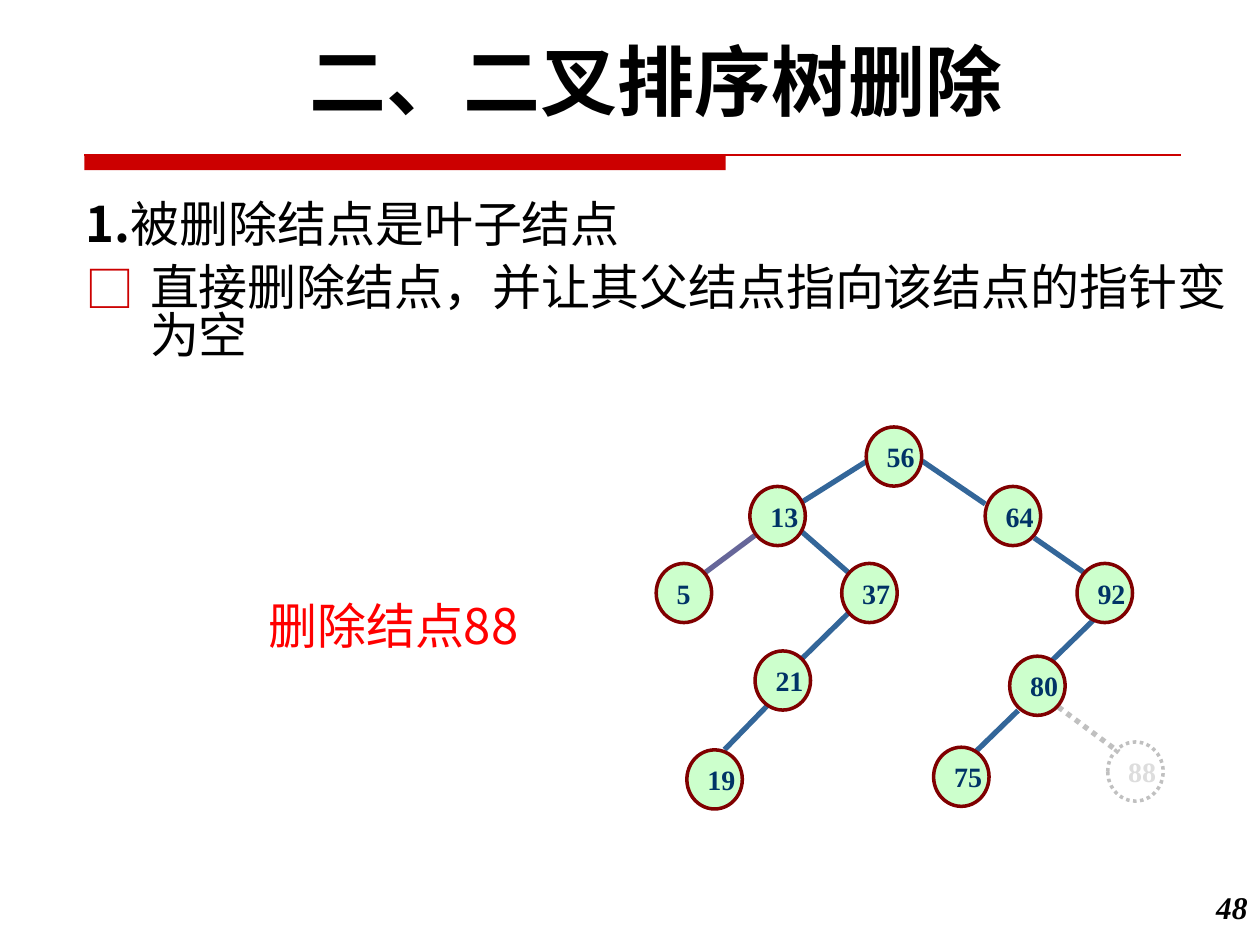
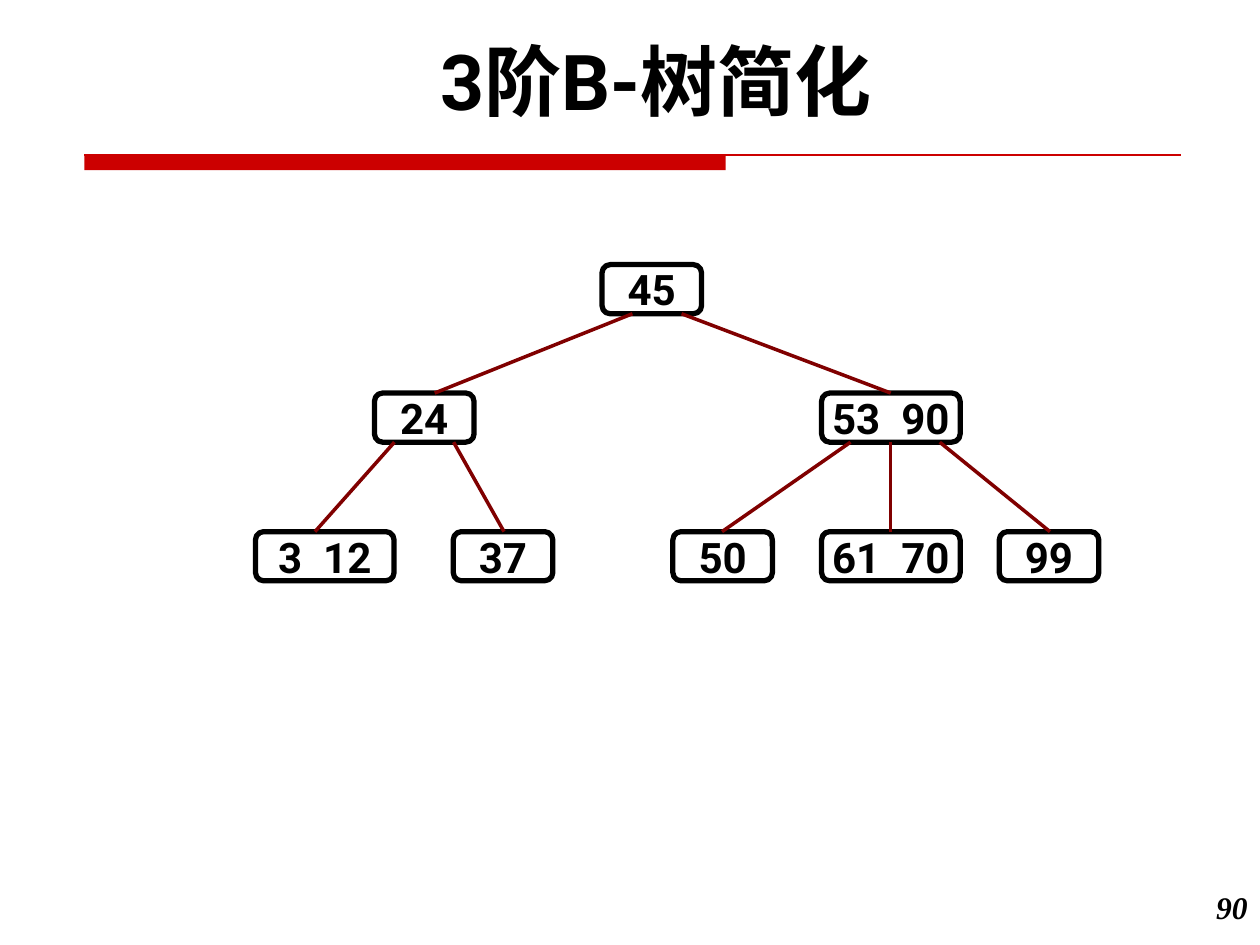
import pptx
import pptx.util
import pptx.dml.color
import pptx.enum.dml
import pptx.enum.shapes
import pptx.enum.text
import pptx.oxml
import pptx.oxml.ns
import lxml.etree

Pt = pptx.util.Pt
KIND = pptx.enum.shapes.MSO_SHAPE
ALIGN = pptx.enum.text.PP_ALIGN
ANCHOR = pptx.enum.text.MSO_ANCHOR
DOTS = pptx.enum.dml.MSO_LINE.ROUND_DOT

RED, MAROON, BLACK = "CC0000", "800000", "000000"
BLUE, VIOLET, GREY = "336699", "666699", "C0C0C0"
SANS = "Noto Sans CJK SC"

# Text formats
TITLE = {"name": "Roboto", "size": Pt(44), "bold": True, "color": BLACK}
KEY = {**TITLE, "size": Pt(24)}
GAP = {**KEY, "spc": 600}
BODY = {"name": SANS, "size": Pt(28), "bold": False, "color": BLACK}
HEAD = {**BODY, "bold": True}
NOTE = {**BODY, "color": "FF0000"}
PAGE = {"name": "Times New Roman", "size": Pt(18), "bold": True,
        "italic": True, "color": BLACK}
NODE = {"name": "Times New Roman", "size": Pt(16), "bold": True,
        "color": "003366"}
GHOST = {**NODE, "color": "DDDDDD"}

# Binary search tree
STEPS = [
    [("1.", HEAD), ("被删除结点是叶子结点", BODY)],
    [("直接删除结点，并让其父结点指向该结点的指针变为空", BODY)],
]
GONE = "88"
NODES = {
    "56": (495, 244), "13": (428.5, 278), "64": (563, 278),
    "5": (375, 322), "37": (481, 322), "92": (615.5, 322),
    "21": (431.5, 372), "80": (577, 375),
    "19": (392.5, 428.5), "75": (533.5, 427), GONE: (633, 424),
}
LINKS = [
    (495.4, 263.5, 456.5, 288, BLUE), (527, 263.5, 563, 288, BLUE),
    (431.3, 306, 403.2, 327, VIOLET), (456.5, 302.4, 484.6, 327, BLUE),
    (591, 307.4, 619.2, 327, BLUE), (484.6, 350.6, 450, 384.5, BLUE),
    (625, 354.2, 598.3, 380.2, BLUE), (442, 399.6, 414, 428.4, BLUE),
    (581.8, 406, 555, 432, BLUE), (604.8, 404, 639.4, 429.8, GREY),
]

# B-tree: top of each level, its boxes (left, keys), and the x of each
# link from the level above
BOX_H = 28.1
LEVELS = [
    (151.2, [(344, "45")], []),
    (224.6, [(214, "24"), (469.5, "53 90")],
     [(361.4, 248.4), (389.5, 509)]),
    (303.8, [(146, "3 12"), (259, "37"), (384.5, "50"),
             (469.5, "61 70"), (571, "99")],
     [(225.4, 180), (259.2, 288), (486, 412.6), (509, 509), (537, 600)]),
]


def tint(part, code):
    part.rgb = pptx.dml.color.RGBColor.from_string(code)


def write(para, parts):
    """Add (text, format) runs to a paragraph."""
    for text, style in parts:
        run = para.add_run()
        run.text = text
        for name, value in style.items():
            if name == "color":
                tint(run.font.color, value)
            elif name == "spc":
                run._r.get_or_add_rPr().set("spc", str(value))
            else:
                setattr(run.font, name, value)
        east = lxml.etree.SubElement(run._r.get_or_add_rPr(),
                                     pptx.oxml.ns.qn("a:ea"))
        east.set("typeface", style["name"])


def place(shape, left, top, width, height):
    spots = {"left": left, "top": top, "width": width, "height": height}
    for name, value in spots.items():
        setattr(shape, name, Pt(value))


def frame(shape, wrap, anchor):
    text = shape.text_frame
    text.auto_size = pptx.enum.text.MSO_AUTO_SIZE.NONE
    text.word_wrap = wrap
    text.vertical_anchor = anchor
    return text


def label(slide, box, parts, align, ratio=1.0):
    shape = slide.shapes.add_textbox(*map(Pt, box))
    para = frame(shape, True, ANCHOR.TOP).paragraphs[0]
    para.alignment, para.line_spacing = align, ratio
    write(para, parts)


def link(slide, ends, color, width, dash=None):
    line = slide.shapes.add_connector(
        pptx.enum.shapes.MSO_CONNECTOR.STRAIGHT, *map(Pt, ends))
    tint(line.line.color, color)
    line.line.width = Pt(width)
    if dash:
        line.line.dash_style = dash
    lxml.etree.SubElement(line._element.spPr,
                          pptx.oxml.ns.qn("a:effectLst"))


def block(slide, kind, box, fill=None, edge=None, width=2):
    shape = slide.shapes.add_shape(kind, *map(Pt, box))
    shape.shadow.inherit = False
    if fill:
        shape.fill.solid()
        tint(shape.fill.fore_color, fill)
    else:
        shape.fill.background()
    if edge:
        tint(shape.line.color, edge)
        shape.line.width = Pt(width)
    else:
        shape.line.fill.background()
    return shape


def start(deck, layout, title, page):
    """Add a slide with the shared title, red band and page number."""
    slide = deck.slides.add_slide(deck.slide_layouts[layout])
    block(slide, KIND.RECTANGLE, (48.2, 88.6, 366.5, 8.6), RED)
    link(slide, (48.2, 88.6, 674.6, 88.6), RED, 0.75)
    place(slide.shapes.title, 41.8, 15.1, 666, 60.5)
    para = frame(slide.shapes.title, True, ANCHOR.MIDDLE).paragraphs[0]
    para.alignment = ALIGN.CENTER
    write(para, [(title, TITLE)])
    label(slide, (671.8, 504, 48.2, 36), [(page, PAGE)], ALIGN.RIGHT)
    return slide


def fill_body(shape):
    place(shape, 41.8, 113, 689.8, 318)
    text = frame(shape, True, ANCHOR.TOP)
    for i, parts in enumerate(STEPS):
        para = text.add_paragraph() if i else text.paragraphs[0]
        props = para._p.get_or_add_pPr()
        props.set("marL", str(Pt(36.7)))
        props.set("indent", str(-Pt(36.7)))
        marks = ['<a:buClr {}><a:srgbClr val="%s"/></a:buClr>' % RED,
                 '<a:buFont {} typeface="%s"/>' % SANS,
                 '<a:buChar {} char="□"/>'] if i else ["<a:buNone {}/>"]
        for mark in marks:
            props.append(pptx.oxml.parse_xml(
                mark.format(pptx.oxml.ns.nsdecls("a"))))
        para.line_spacing = 0.82
        para.space_before = Pt(8.4 if i else 0)
        write(para, parts)


def search_tree(deck):
    slide = start(deck, 1, "二、二叉排序树删除", "48")
    fill_body(slide.placeholders[1])
    label(slide, (146.2, 342.5, 200, 41), [("删除结点88", NOTE)],
          ALIGN.LEFT, 0.82)
    for *ends, color in LINKS:
        link(slide, ends, color, 3, DOTS if color == GREY else None)
    for name, spot in NODES.items():
        gone = name == GONE
        shape = block(slide, KIND.OVAL, (*spot, 31.7, 33.8),
                      None if gone else "CCFFCC", GREY if gone else MAROON)
        if gone:
            shape.line.dash_style = DOTS
        para = frame(shape, False, ANCHOR.MIDDLE).paragraphs[0]
        para.alignment = ALIGN.LEFT
        write(para, [(name, GHOST if gone else NODE)])


def b_tree(deck):
    slide = start(deck, 5, "3阶B-树简化", "90")
    base = 0
    for top, boxes, links in LEVELS:
        for left, keys in boxes:
            first, gap, last = keys.partition(" ")
            box = (left, top, 79.2 if gap else 56.9, BOX_H)
            shape = block(slide, KIND.ROUNDED_RECTANGLE, box, None, BLACK, 3)
            para = frame(shape, False, ANCHOR.MIDDLE).paragraphs[0]
            para.alignment = ALIGN.CENTER
            parts = [(first, KEY)]
            if gap:
                parts += [(gap, GAP), (last, KEY)]
            write(para, parts)
        for begin, end in links:
            link(slide, (begin, base, end, top), MAROON, 2)
        base = top + BOX_H


def main():
    deck = pptx.Presentation()
    deck.slide_width, deck.slide_height = Pt(720), Pt(540)
    search_tree(deck)
    b_tree(deck)
    deck.save("out.pptx")


if __name__ == "__main__":
    main()
